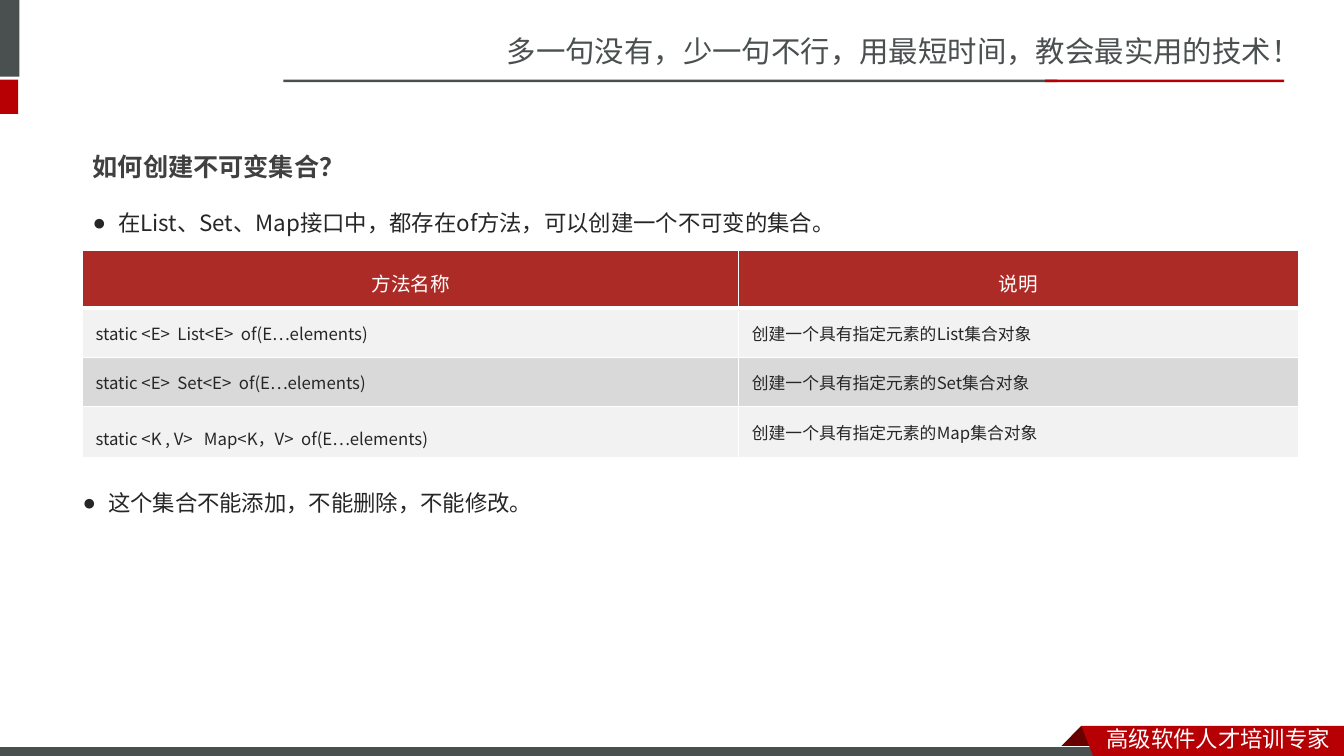
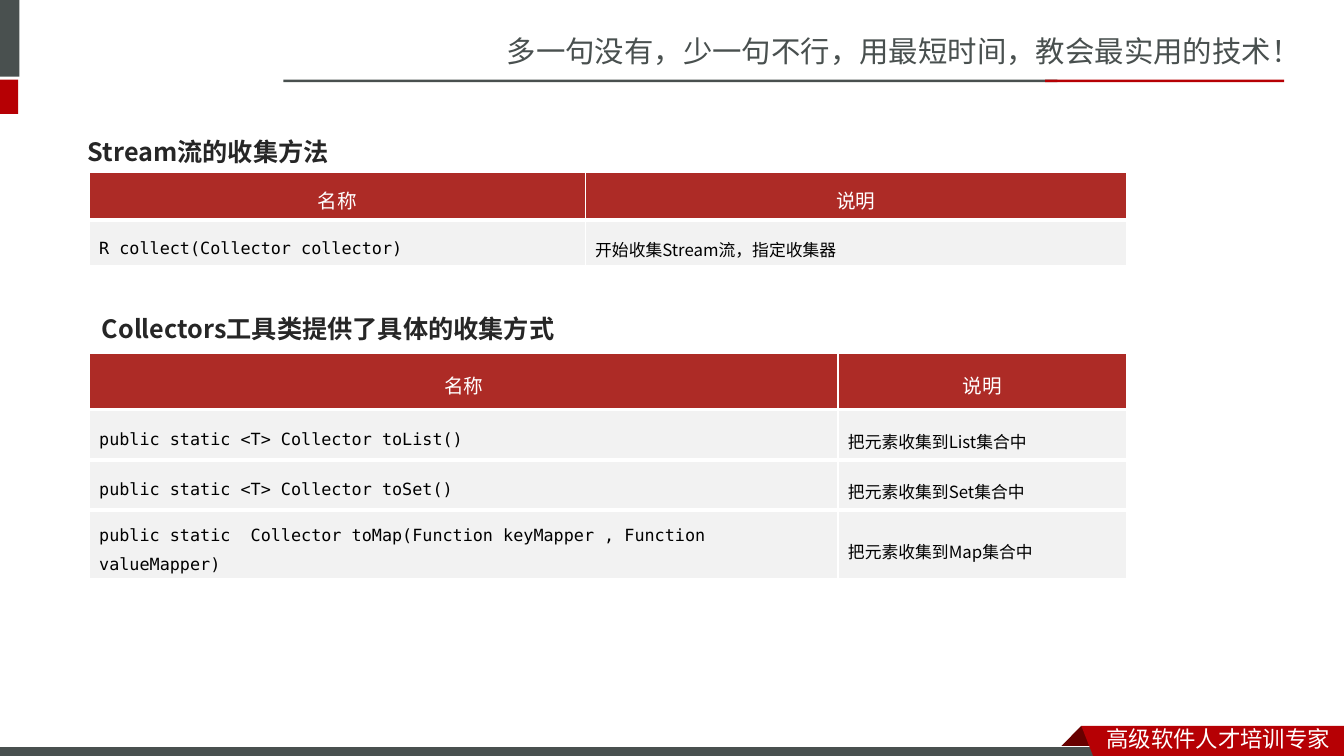
"""Build two slides on immutable collections and stream collectors."""
from dataclasses import dataclass

from lxml.etree import SubElement
from pptx import Presentation
from pptx.dml.color import RGBColor
from pptx.enum.shapes import MSO_SHAPE
from pptx.enum.text import MSO_ANCHOR, MSO_AUTO_SIZE, PP_ALIGN
from pptx.oxml.ns import qn
from pptx.util import Cm, Pt


@dataclass(frozen=True)
class Theme:
    """Hold the colours, fonts and type sizes of the deck."""
    slate: str = "49504F"
    red: str = "B60004"
    fold: str = "680000"
    header: str = "AD2B26"
    pale: str = "F2F2F2"
    grey: str = "D9D9D9"
    white: str = "FFFFFF"
    black: str = "000000"
    ink: str = "262626"
    heading: str = "404040"
    sans: str = "Noto Sans CJK SC"
    text: str = "Noto Sans CJK JP"
    label: str = "Roboto"
    code: str = "DejaVu Sans Mono"
    banner_size: int = 21
    heading_size: int = 18
    body_size: int = 16
    label_size: int = 14
    cell_size: int = 12


THEME = Theme()

BANNER = {"font": THEME.sans, "size": THEME.banner_size, "color": THEME.slate}
SLOGAN = {"font": THEME.sans, "size": THEME.body_size, "color": THEME.white}
HEADING = {"font": THEME.text, "size": THEME.heading_size, "color": THEME.ink,
           "bold": True, "line_spacing": 1.5}
QUESTION = HEADING | {"color": THEME.heading, "line_spacing": 2.0}
BULLET = {"font": THEME.text, "size": THEME.body_size, "color": THEME.ink,
          "line_spacing": 2.0, "bullet": "●"}
LABEL = {"font": THEME.label, "size": THEME.label_size, "color": THEME.white,
         "line_spacing": Pt(24), "alignment": PP_ALIGN.CENTER}
CELL = {"font": THEME.sans, "size": THEME.cell_size, "color": THEME.ink}
NOTE = CELL | {"color": THEME.black, "line_spacing": 1.5}
CODE = NOTE | {"font": THEME.code}
SPACED = {"space_before": Pt(2.4)}

RECTANGLES_AND_OUTLINES = [
    (THEME.slate, None, (-0.15, 0, 0.64, 1.93)),
    (THEME.red, None, (-0.15, 2.01, 0.61, 0.86)),
    (THEME.slate, None, (7.14, 2.01, 19.51, 0.06)),
    (THEME.red, None, (26.34, 2.01, 6.02, 0.06)),
    (THEME.fold, None, [(27.25, 18.29), (27.81, 18.85), (27.79, 18.87),
                        (26.72, 18.87), (26.7, 18.85)]),
    (THEME.slate, THEME.white, (-0.03, 18.82, 27.94, 0.3)),
    (THEME.red, None, [(27.25, 18.29), (33.87, 18.29), (33.87, 19.15), (27.58, 19.13)]),
]
MASTER_TEXTS = [
    ("多一句没有，少一句不行，用最短时间，教会最实用的技术！", (12.52, 0.71, 21.36, 1.19), BANNER),
    ("高级软件人才培训专家", (27.64, 18.16, 6.22, 0.94), SLOGAN),
]

SLIDES = [
    {
        "layout": "Two Content",
        "texts": [
            ("如何创建不可变集合？", (2.08, 2.92, 14.48, 1.6), QUESTION),
            ("在List、Set、Map接口中，都存在of方法，可以创建一个不可变的集合。",
             (2.08, 4.47, 29.57, 1.45), BULLET),
            ("这个集合不能添加，不能删除，不能修改。", (1.83, 11.53, 30.63, 2.82), BULLET),
        ],
        "tables": [{
            "place": (2.08, 6.32), "columns": (16.54, 14.1),
            "heights": (1.45, 1.24, 1.24, 1.24), "margins": (0.33, 0.18),
            "rule": 1, "fills": (THEME.pale, THEME.grey),
            "labels": ("方法名称", "说明"),
            "rows": [
                ("static <E>  List<E>  of(E…elements)", CELL,
                 "创建一个具有指定元素的List集合对象", CELL),
                ("static <E>  Set<E>  of(E…elements)", CELL,
                 "创建一个具有指定元素的Set集合对象", CELL),
                ("static <K , V>   Map<K，V>  of(E…elements)", CELL | {"line_spacing": 1.5},
                 "创建一个具有指定元素的Map集合对象", CELL),
            ],
        }],
    },
    {
        "layout": "Title and Content",
        "texts": [
            ("Stream流的收集方法", (1.96, 2.92, 17.3, 1.3), HEADING),
            ("Collectors工具类提供了具体的收集方式", (2.31, 7.39, 16.94, 1.3), HEADING),
        ],
        "tables": [
            {
                "place": (2.25, 4.35), "columns": (12.5, 13.64),
                "heights": (1.19, 1.07), "margins": (0.25, 0.13),
                "rule": 3, "fills": (THEME.pale,), "labels": ("名称", "说明"),
                "rows": [("R collect(Collector collector)", CODE | SPACED,
                          "开始收集Stream流，指定收集器", NOTE | SPACED)],
            },
            {
                "place": (2.25, 8.9), "columns": (18.87, 7.27),
                "heights": (1.42, 1.27, 1.27, 1.27), "margins": (0.25, 0.13),
                "rule": 3, "fills": (THEME.pale,), "labels": ("名称", "说明"),
                "rows": [
                    ("public static <T> Collector toList()", CODE | SPACED,
                     "把元素收集到List集合中", NOTE | SPACED),
                    ("public static <T> Collector toSet()", CODE, "把元素收集到Set集合中", NOTE),
                    ("public static  Collector toMap(Function keyMapper , Function valueMapper)",
                     CODE, "把元素收集到Map集合中", NOTE),
                ],
            },
        ],
    },
]


def lengths(values):
    """Turn centimetre numbers into lengths."""
    return [Cm(value) for value in values]


def set_attributes(target, values):
    """Set each named attribute of the target."""
    for name, value in values.items():
        setattr(target, name, value)


def write(frame, text, style):
    """Fill a text frame with one styled paragraph."""
    para = frame.paragraphs[0]
    set_attributes(para, {
        "alignment": style.get("alignment", PP_ALIGN.LEFT),
        "line_spacing": style.get("line_spacing", 1.0),
        "space_before": style.get("space_before", Pt(0)),
    })
    span = para.add_run()
    span.text = text
    set_attributes(span.font, {
        "name": style["font"], "size": Pt(style["size"]), "bold": style.get("bold", False),
    })
    span.font.color.rgb = RGBColor.from_string(style["color"])
    SubElement(span.font._element, qn("a:ea"), typeface=style["font"])
    return para


def set_bullet(para, mark):
    """Give a paragraph a hanging bullet, or none."""
    properties = para._p.get_or_add_pPr()
    indent = Cm(0.64) if mark else 0
    properties.set("marL", str(indent))
    properties.set("indent", str(-indent))
    if mark:
        SubElement(properties, qn("a:buChar"), char=mark)
    else:
        SubElement(properties, qn("a:buNone"))


def write_box(box, text, style):
    """Prepare a box for top-anchored text and write it."""
    set_attributes(box.text_frame, {
        "word_wrap": True, "auto_size": MSO_AUTO_SIZE.NONE, "vertical_anchor": MSO_ANCHOR.TOP,
    })
    set_bullet(write(box.text_frame, text, style), style.get("bullet"))


def draw_part(shapes, fill, line, geometry):
    """Draw a flat rectangle or outline."""
    if isinstance(geometry, tuple):
        part = shapes.add_shape(MSO_SHAPE.RECTANGLE, *lengths(geometry))
    else:
        start, *others = [lengths(point) for point in geometry]
        builder = shapes.build_freeform(*start)
        builder.add_line_segments(others, close=True)
        part = builder.convert_to_shape()
    part.shadow.inherit = False
    part.fill.solid()
    part.fill.fore_color.rgb = RGBColor.from_string(fill)
    if line:
        part.line.color.rgb = RGBColor.from_string(line)
        part.line.width = Pt(0.75)
    else:
        part.line.fill.background()
    return part


def decorate_master(deck, page):
    """Draw the shared parts on a page and move them to the master."""
    parts = [draw_part(page.shapes, *part) for part in RECTANGLES_AND_OUTLINES]
    for text, place, style in MASTER_TEXTS:
        box = page.shapes.add_textbox(*lengths(place))
        write_box(box, text, style)
        parts.append(box)
    for number, part in enumerate(parts, start=100):
        part.element.xpath(".//p:cNvPr")[0].set("id", str(number))
        deck.slide_master.shapes.element.append(part.element)


def style_cell(cell, fill, margins, widths):
    """Set the borders, fill and margins of a cell."""
    properties = cell._tc.get_or_add_tcPr()
    for side, width in zip("LRTB", widths):
        border = SubElement(properties, qn(f"a:ln{side}"), w=str(Pt(width)))
        SubElement(SubElement(border, qn("a:solidFill")), qn("a:srgbClr"), val=THEME.white)
    cell.fill.solid()
    cell.fill.fore_color.rgb = RGBColor.from_string(fill)
    across, down = lengths(margins)
    set_attributes(cell, {
        "margin_left": across, "margin_right": across, "margin_top": down,
        "margin_bottom": down, "vertical_anchor": MSO_ANCHOR.MIDDLE,
    })


def draw_table(page, content):
    """Draw a table with a red header row."""
    columns, heights = content["columns"], content["heights"]
    place = lengths((*content["place"], sum(columns), sum(heights)))
    table = page.shapes.add_table(len(heights), len(columns), *place).table
    for column, width in zip(table.columns, columns):
        column.width = Cm(width)
    for row, height in zip(table.rows, heights):
        row.height = Cm(height)
    rows = [[(label, LABEL) for label in content["labels"]]]
    rows += [[(code, code_style), (note, note_style)]
             for code, code_style, note, note_style in content["rows"]]
    rule, fills = content["rule"], content["fills"]
    for row_number, row in enumerate(rows):
        if row_number == 0:
            fill, margins, widths = THEME.header, (0.25, 0.13), (1, 1, 1, 3)
        else:
            fill, margins = fills[(row_number - 1) % len(fills)], content["margins"]
            widths = (1, 1, 3 if row_number == 1 else rule, rule)
        for column_number, (text, style) in enumerate(row):
            cell = table.cell(row_number, column_number)
            style_cell(cell, fill, margins, widths)
            write(cell.text_frame, text, style)


def main():
    """Build and save the deck."""
    deck = Presentation()
    deck.slide_width, deck.slide_height = Cm(33.87), Cm(19.05)
    for number, content in enumerate(SLIDES):
        page = deck.slides.add_slide(deck.slide_layouts.get_by_name(content["layout"]))
        if number == 0:
            decorate_master(deck, page)
        for box, (text, place, style) in zip(page.placeholders, content["texts"]):
            set_attributes(box, dict(zip(("left", "top", "width", "height"), lengths(place))))
            write_box(box, text, style)
        for table in content["tables"]:
            draw_table(page, table)
    deck.save("out.pptx")


if __name__ == "__main__":
    main()
